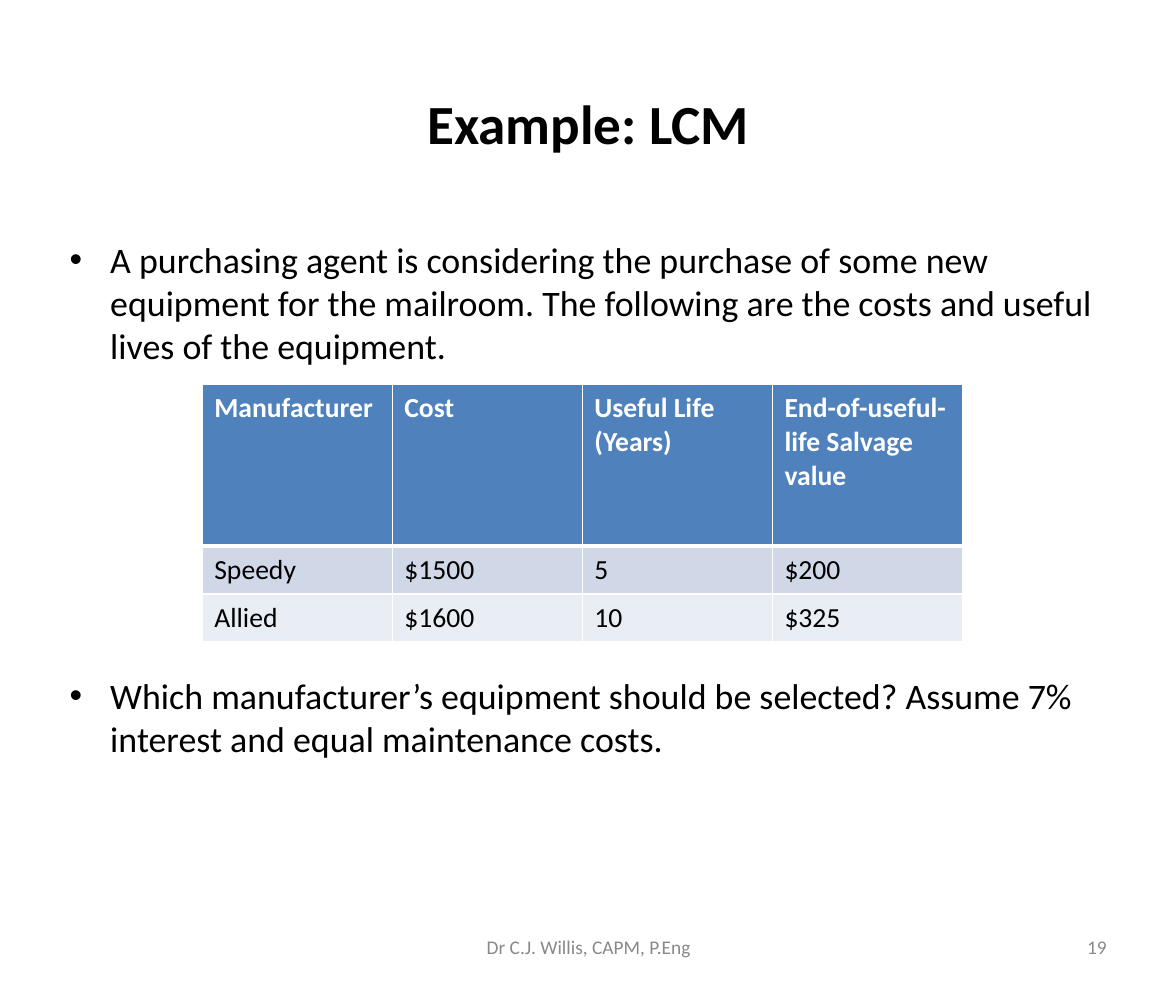
from pptx import Presentation
from pptx.dml.color import RGBColor
from pptx.enum import text
from pptx.oxml.ns import qn
from pptx.util import Cm, Pt
from lxml import etree

FONT = "Calibri"
BLACK, WHITE, GRAY = "000000", "FFFFFF", "898989"
BLUE, BAND, PALE = "4F81BD", "D0D8E8", "E9EDF4"
LEFT, WIDE = 1.5, 27.08
ALIGN = {"l": text.PP_ALIGN.LEFT, "c": text.PP_ALIGN.CENTER, "r": text.PP_ALIGN.RIGHT}


def color(code):
    return RGBColor.from_string(code)


def place(shape, box):
    shape.left, shape.top, shape.width, shape.height = (Cm(v) for v in box)


def bullet(para, indent):
    props = para._p.get_or_add_pPr()
    props.set("marL", str(Cm(indent)))
    props.set("indent", str(-Cm(indent)))
    etree.SubElement(props, qn("a:buFont")).set("typeface", "Arial")
    etree.SubElement(props, qn("a:buChar")).set("char", "•")


def write(frame, lines, size=20, ink=BLACK, bold=False, align="l",
          middle=False, inset=(0.28, 0.15), indent=0, gap=0):
    """Fill a text frame with one paragraph per line."""
    frame.word_wrap = True
    frame.auto_size = text.MSO_AUTO_SIZE.NONE
    frame.margin_left = frame.margin_right = Cm(inset[0])
    frame.margin_top = frame.margin_bottom = Cm(inset[1])
    frame.vertical_anchor = text.MSO_ANCHOR.MIDDLE if middle else text.MSO_ANCHOR.TOP
    for i, line in enumerate(lines):
        para = frame.add_paragraph() if i else frame.paragraphs[0]
        if indent:
            bullet(para, indent)
        if i:
            para.space_before = Pt(gap)
        para.alignment = ALIGN[align]
        run = para.add_run()
        run.text = line
        font = run.font
        font.name, font.size, font.bold = FONT, Pt(size), bold
        font.color.rgb = color(ink)


def label(slide, box, lines, **form):
    shape = slide.shapes.add_textbox(*(Cm(v) for v in box))
    write(shape.text_frame, lines, **form)


def border(cell, top, bottom):
    props = cell._tc.get_or_add_tcPr()
    for side, width in (("L", 1), ("R", 1), ("T", top), ("B", bottom)):
        line = etree.SubElement(props, qn(f"a:ln{side}"), w=str(Pt(width)))
        fill = etree.SubElement(line, qn("a:solidFill"))
        etree.SubElement(fill, qn("a:srgbClr"), val=WHITE)


def title(slide, box):
    shape = slide.shapes.title
    place(shape, box)
    write(shape.text_frame, ["Example: LCM"], size=40, bold=True, align="c", middle=True)


def body(slide, box):
    # The gap between the two points leaves room for the table
    label(slide, box, [
        "A purchasing agent is considering the purchase of some new equipment "
        "for the mailroom. The following are the costs and useful lives of the equipment.",
        "Which manufacturer’s equipment should be selected? "
        "Assume 7% interest and equal maintenance costs.",
    ], size=26, indent=1.04, gap=223)


def costs(slide, box):
    rows = [
        ("Manufacturer", "Cost", "Useful Life (Years)", "End-of-useful-life Salvage value"),
        ("Speedy", "$1500", "5", "$200"),
        ("Allied", "$1600", "10", "$325"),
    ]
    # Fill, text colour, row height, top and bottom border
    looks = [(BLUE, WHITE, 4.14, 1, 3), (BAND, BLACK, 1.19, 3, 1), (PALE, BLACK, 1.19, 1, 1)]
    count = len(rows[0])
    table = slide.shapes.add_table(len(rows), count, *(Cm(v) for v in box)).table
    for col in table.columns:
        col.width = Cm(box[2] / count)
    for r, (row, (fill, ink, high, top, bottom)) in enumerate(zip(rows, looks)):
        table.rows[r].height = Cm(high)
        for c, value in enumerate(row):
            cell = table.cell(r, c)
            border(cell, top, bottom)
            cell.fill.solid()
            cell.fill.fore_color.rgb = color(fill)
            cell.margin_left = cell.margin_right = Cm(0.3)
            cell.margin_top = cell.margin_bottom = Cm(0.18)
            write_cell(cell, value, ink, bold=r == 0)


def write_cell(cell, value, ink, bold):
    run = cell.text_frame.paragraphs[0].add_run()
    run.text = value
    font = run.font
    font.name, font.size, font.bold = FONT, Pt(20), bold
    font.color.rgb = color(ink)


def footer(slide, box):
    left, top, wide, high = box
    form = dict(size=14, ink=GRAY, middle=True)
    label(slide, (left + 8.79, top, 9.53, high), ["Dr C.J. Willis, CAPM, P.Eng"], align="c", **form)
    label(slide, (left + wide - 7.01, top, 7.01, high), ["19"], align="r", **form)


def main():
    deck = Presentation()
    deck.slide_width, deck.slide_height = Cm(30.07), Cm(25.4)
    slide = deck.slides.add_slide(deck.slide_layouts[5])
    title(slide, (LEFT, 1.02, WIDE, 4.24))
    body(slide, (LEFT, 5.92, WIDE, 16.76))
    costs(slide, (5.18, 9.83, 19.44, 6.52))
    footer(slide, (LEFT, 23.55, WIDE, 1.35))
    deck.save("out.pptx")


if __name__ == "__main__":
    main()
